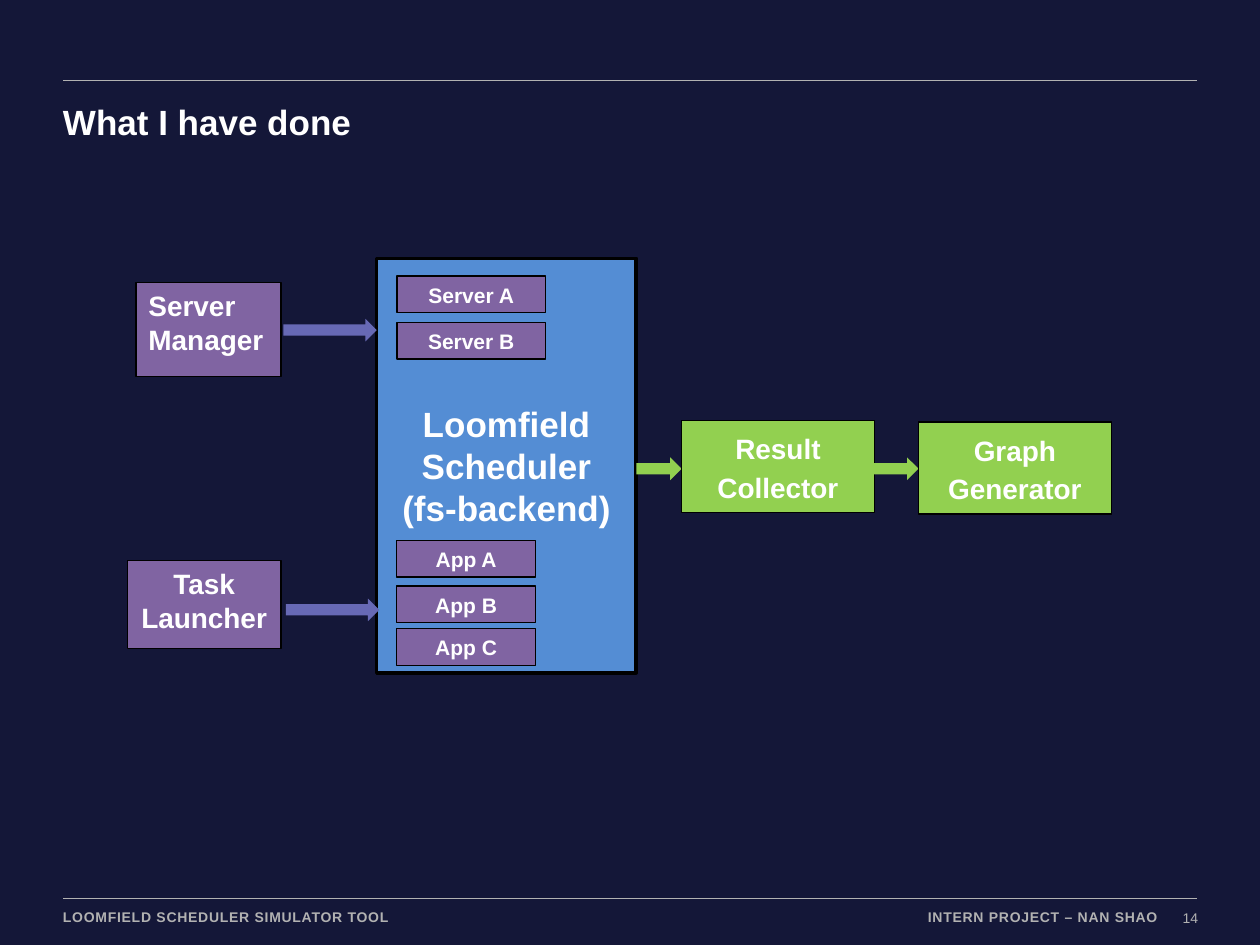
from dataclasses import dataclass

import pptx
import pptx.dml.color
import pptx.enum.shapes
import pptx.enum.text
import pptx.oxml.ns
import pptx.util
from lxml import etree
from pptx.util import Inches

ALIGN = pptx.enum.text.PP_ALIGN
ANCHOR = pptx.enum.text.MSO_ANCHOR
SHAPE = pptx.enum.shapes.MSO_SHAPE


@dataclass(frozen=True)
class Theme:
    font: str = "Arial"
    background: str = "141738"
    white: str = "FFFFFF"
    black: str = "000000"
    grey: str = "B2B2B2"
    blue: str = "548DD4"
    purple: str = "8064A2"
    violet: str = "6769B5"
    green: str = "92D050"
    heading: int = 20
    block: int = 16
    item: int = 12
    footer: int = 8


THEME = Theme()


def rgb(value):
    return pptx.dml.color.RGBColor.from_string(value)


def write_text(shape, text, size=THEME.block, color=THEME.white, bold=True,
               align=ALIGN.CENTER, anchor=ANCHOR.TOP, insets=(0.1, 0.05),
               wrap=True, line_spacing=None, space_after=None, tracking=None):
    frame = shape.text_frame
    frame.word_wrap = wrap
    frame.vertical_anchor = anchor
    frame.margin_left = frame.margin_right = Inches(insets[0])
    frame.margin_top = frame.margin_bottom = Inches(insets[1])
    para = frame.paragraphs[0]
    para.alignment = align
    if line_spacing:
        para.line_spacing = line_spacing
    if space_after:
        para.space_after = pptx.util.Pt(space_after)
    span = para.add_run()
    span.text = text
    span.font.name = THEME.font
    span.font.size = pptx.util.Pt(size)
    span.font.bold = bold
    span.font.color.rgb = rgb(color)
    if tracking:
        span.font._element.set("spc", str(round(tracking * 100)))


def add_label(page, box, text, **text_format):
    label = page.shapes.add_textbox(*map(Inches, box))
    write_text(label, text, insets=(0, 0), **text_format)


def add_block(page, box, text, fill, line_width=0.75, **text_format):
    block = page.shapes.add_shape(SHAPE.RECTANGLE, *map(Inches, box))
    block.shadow.inherit = False
    block.fill.solid()
    block.fill.fore_color.rgb = rgb(fill)
    block.line.color.rgb = rgb(THEME.black)
    block.line.width = pptx.util.Pt(line_width)
    write_text(block, text, **text_format)


def add_arrow(page, box, fill):
    arrow = page.shapes.add_shape(SHAPE.RIGHT_ARROW, *map(Inches, box))
    arrow.shadow.inherit = False
    arrow.fill.solid()
    arrow.fill.fore_color.rgb = rgb(fill)
    arrow.line.fill.background()


def add_rule(page, left, top, width):
    rule = page.shapes.add_connector(
        pptx.enum.shapes.MSO_CONNECTOR.STRAIGHT,
        Inches(left), Inches(top), Inches(left + width), Inches(top))
    rule.line.color.rgb = rgb(THEME.grey)
    rule.line.width = pptx.util.Pt(1)
    etree.SubElement(rule._element.spPr, pptx.oxml.ns.qn("a:effectLst"))


def add_header(page, box):
    left, top, width, height = box
    add_rule(page, left, top, width)
    add_label(page, (left, top + 0.16, width, height - 0.16), "What I have done",
              size=THEME.heading, align=ALIGN.LEFT)


def add_footer(page, box):
    left, top, width, height = box
    right = left + width
    text_top = top + 0.08
    text_height = height - 0.08
    small = dict(size=THEME.footer, color=THEME.grey)
    add_rule(page, left, top, width)
    add_label(page, (left, text_top, 3.1, text_height),
              "LOOMFIELD SCHEDULER SIMULATOR TOOL",
              align=ALIGN.LEFT, wrap=False, tracking=0.4, **small)
    add_label(page, (right - 4.31, text_top, 4, text_height),
              "INTERN PROJECT – NAN SHAO",
              align=ALIGN.RIGHT, tracking=0.4, **small)
    add_label(page, (right - 0.13, text_top + 0.01, 0.14, text_height), "14",
              bold=False, align=ALIGN.RIGHT, wrap=False, **small)


def add_scheduler(page, box):
    left, top, width, height = box
    add_block(page, box, "Loomfield Scheduler (fs-backend)", THEME.blue,
              line_width=2, size=THEME.heading, anchor=ANCHOR.MIDDLE,
              insets=(0.15, 0.1))
    # Servers at the top, apps at the bottom: name, offset, width
    items = [("Server A", 0.14, 1.18), ("Server B", 0.51, 1.18),
             ("App A", 2.24, 1.1), ("App B", 2.6, 1.1), ("App C", 2.94, 1.1)]
    for name, offset, item_width in items:
        add_block(page, (left + 0.16, top + offset, item_width, 0.29), name,
                  THEME.purple, size=THEME.item)


def add_inputs(page, box):
    left, top, width, height = box
    add_block(page, (left + 0.07, top, 1.15, 0.75), "Server Manager",
              THEME.purple, align=ALIGN.LEFT)
    add_block(page, (left, top + height - 0.7, 1.22, 0.7), "Task Launcher",
              THEME.purple)
    for offset, arrow_top in [(1.24, 0.29), (1.26, 2.51)]:
        add_arrow(page, (left + offset, top + arrow_top, 0.74, 0.18), THEME.violet)


def add_outputs(page, box):
    left, top, width, height = box
    arrow_width, step = 0.36, 1.88
    names = ["Result Collector", "Graph Generator"]
    for index, name in enumerate(names):
        start = left + index * step
        add_arrow(page, (start, top + 0.29, arrow_width, 0.18), THEME.green)
        add_block(page, (start + arrow_width, top + index * 0.01, 1.53, height),
                  name, THEME.green, line_spacing=1.15, space_after=10)


def main():
    deck = pptx.Presentation()
    deck.slide_width, deck.slide_height = Inches(10), Inches(7.5)
    page = deck.slides.add_slide(deck.slide_layouts[6])
    page.background.fill.solid()
    page.background.fill.fore_color.rgb = rgb(THEME.background)

    # Frame of the slide
    add_header(page, (0.5, 0.64, 9, 0.5))
    add_footer(page, (0.5, 7.13, 9, 0.23))

    # Flow from left to right
    add_scheduler(page, (2.99, 2.05, 2.06, 3.29))
    add_inputs(page, (1.01, 2.24, 2, 2.91))
    add_outputs(page, (5.05, 3.34, 3.77, 0.73))

    deck.save("out.pptx")


if __name__ == "__main__":
    main()
